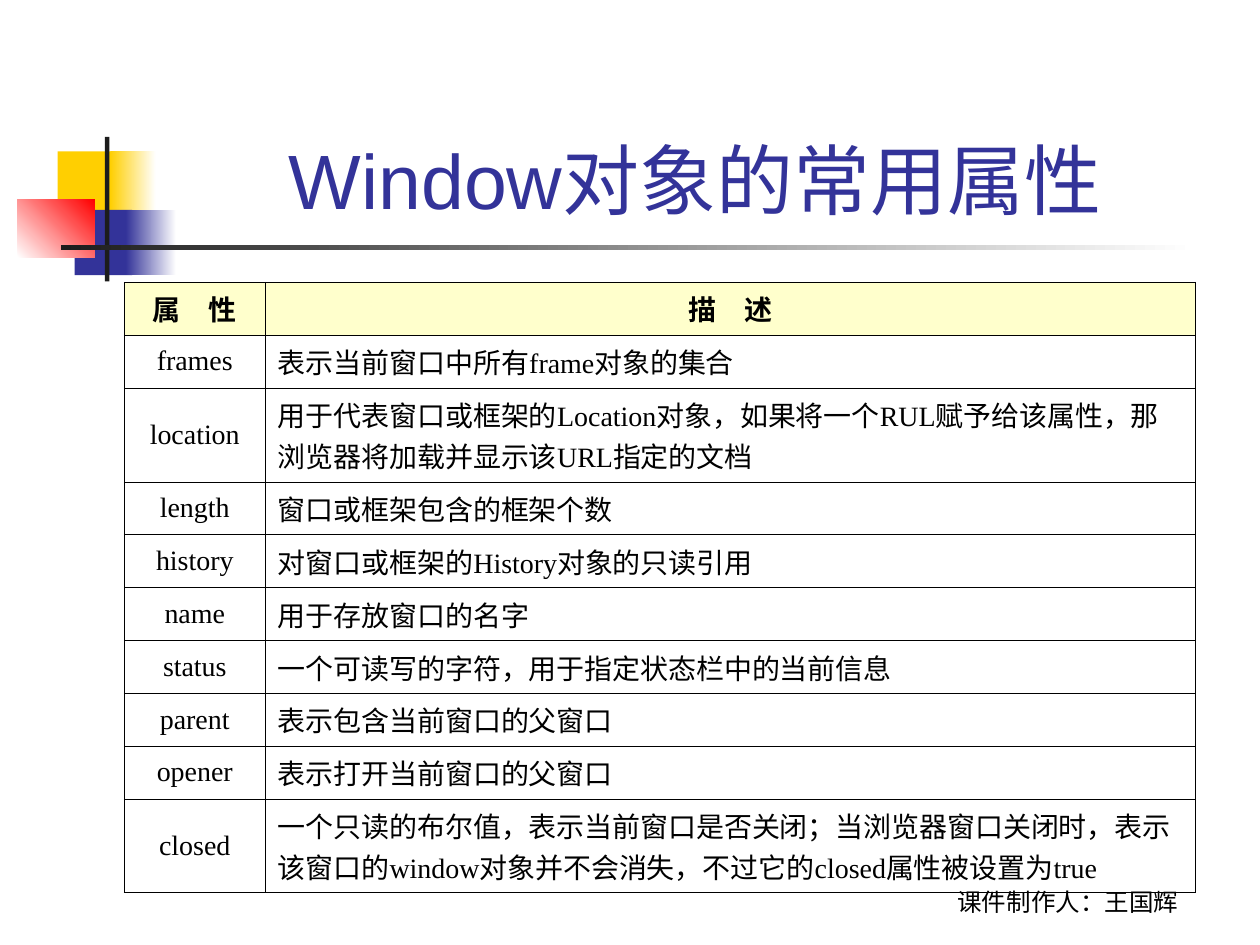
from lxml import etree
from pptx import Presentation
from pptx.dml.color import RGBColor
from pptx.enum.shapes import MSO_SHAPE
from pptx.enum.text import MSO_ANCHOR, PP_ALIGN
from pptx.oxml.ns import qn
from pptx.util import Pt

RECTANGLE = MSO_SHAPE.RECTANGLE
LEFT, CENTER = PP_ALIGN.LEFT, PP_ALIGN.CENTER
MIDDLE, BOTTOM = MSO_ANCHOR.MIDDLE, MSO_ANCHOR.BOTTOM

WHITE = RGBColor(0xFF, 0xFF, 0xFF)
BLACK = RGBColor(0, 0, 0)
CHARCOAL = RGBColor(0x1C, 0x1C, 0x1C)
YELLOW = RGBColor(0xFF, 0xCF, 0x01)
INDIGO = RGBColor(0x33, 0x33, 0x99)
RED = RGBColor(0xFF, 0, 0)
CREAM = RGBColor(0xFF, 0xFF, 0xCC)


def write_text(frame, text, font, size, color=BLACK, bold=False, align=CENTER):
    frame.word_wrap = True
    paragraph = frame.paragraphs[0]
    paragraph.alignment = align
    run = paragraph.add_run()
    run.text = text
    run.font.name = font
    run.font.size = Pt(size)
    run.font.bold = bold
    run.font.color.rgb = color


def add_border(cell, width):
    properties = cell._tc.get_or_add_tcPr()
    for side in ("lnL", "lnR", "lnT", "lnB"):
        line = etree.SubElement(properties, qn(f"a:{side}"), w=str(Pt(width)))
        solid = etree.SubElement(line, qn("a:solidFill"))
        etree.SubElement(solid, qn("a:srgbClr"), val=str(BLACK))


deck = Presentation()
deck.slide_width, deck.slide_height = Pt(720), Pt(540)
slide = deck.slides.add_slide(deck.slide_layouts[6])

# Corner ornament and rule: left, top, width, height, start, end, angle
ornament = [
    (33, 86.5, 35, 37.5, YELLOW, YELLOW, 0),
    (63, 86.5, 26, 37.5, YELLOW, WHITE, 0),
    (42.6, 120, 33, 37.3, INDIGO, INDIGO, 0),
    (72, 120, 28.7, 37.3, INDIGO, WHITE, 0),
    (10, 114, 44.2, 33.2, WHITE, RED, 45),
    (60, 78.2, 2.5, 82.6, CHARCOAL, CHARCOAL, 0),
    (34.8, 140.2, 648, 2.5, CHARCOAL, WHITE, 0),
]
for left, top, width, height, start, end, angle in ornament:
    block = slide.shapes.add_shape(RECTANGLE, Pt(left), Pt(top), Pt(width), Pt(height))
    block.shadow.inherit = False
    block.line.fill.background()
    if start == end:
        block.fill.solid()
        block.fill.fore_color.rgb = start
    else:
        block.fill.gradient()
        block.fill.gradient_angle = angle
        for stop, color in zip(block.fill.gradient_stops, (start, end)):
            stop.color.rgb = color

# Author credit and title
captions = [
    (496.3, 491, 228, 36, "课件制作人：王国辉", "Karla", 14, BLACK),
    (90.7, 16.5, 613.5, 115.3, "Window对象的常用属性", "Arial", 44, INDIGO),
]
for left, top, width, height, text, font, size, color in captions:
    caption = slide.shapes.add_textbox(Pt(left), Pt(top), Pt(width), Pt(height))
    caption.text_frame.vertical_anchor = BOTTOM
    write_text(caption.text_frame, text, font, size, color=color)

# Property table
rows = [
    ("属　性", "描　述"),
    ("frames", "表示当前窗口中所有frame对象的集合"),
    ("location", "用于代表窗口或框架的Location对象，如果将一个RUL赋予给该属性，"
                 "那浏览器将加载并显示该URL指定的文档"),
    ("length", "窗口或框架包含的框架个数"),
    ("history", "对窗口或框架的History对象的只读引用"),
    ("name", "用于存放窗口的名字"),
    ("status", "一个可读写的字符，用于指定状态栏中的当前信息"),
    ("parent", "表示包含当前窗口的父窗口"),
    ("opener", "表示打开当前窗口的父窗口"),
    ("closed", "一个只读的布尔值，表示当前窗口是否关闭；当浏览器窗口关闭时，"
               "表示该窗口的window对象并不会消失，不过它的closed属性被设置为true"),
]
TWO_LINE_ROWS = ("location", "closed")
ROW_HEIGHT, TWO_LINE_HEIGHT = 30.2, 53.7
table_height = (ROW_HEIGHT * (len(rows) - len(TWO_LINE_ROWS))
                + TWO_LINE_HEIGHT * len(TWO_LINE_ROWS))
properties_table = slide.shapes.add_table(
    len(rows), 2, Pt(71), Pt(161.3), Pt(612), Pt(table_height)).table
for column, width in zip(properties_table.columns, (80.6, 531.4)):
    column.width = Pt(width)

for row_index, row in enumerate(rows):
    is_header = row_index == 0
    height = TWO_LINE_HEIGHT if row[0] in TWO_LINE_ROWS else ROW_HEIGHT
    properties_table.rows[row_index].height = Pt(height)
    for column_index, text in enumerate(row):
        cell = properties_table.cell(row_index, column_index)
        cell.vertical_anchor = MIDDLE
        add_border(cell, 0.45)
        if is_header:
            cell.fill.solid()
            cell.fill.fore_color.rgb = CREAM
        else:
            cell.fill.background()
        centered = is_header or column_index == 0
        write_text(cell.text_frame, text, "Times New Roman", 16,
                   bold=is_header, align=CENTER if centered else LEFT)

deck.save("out.pptx")
